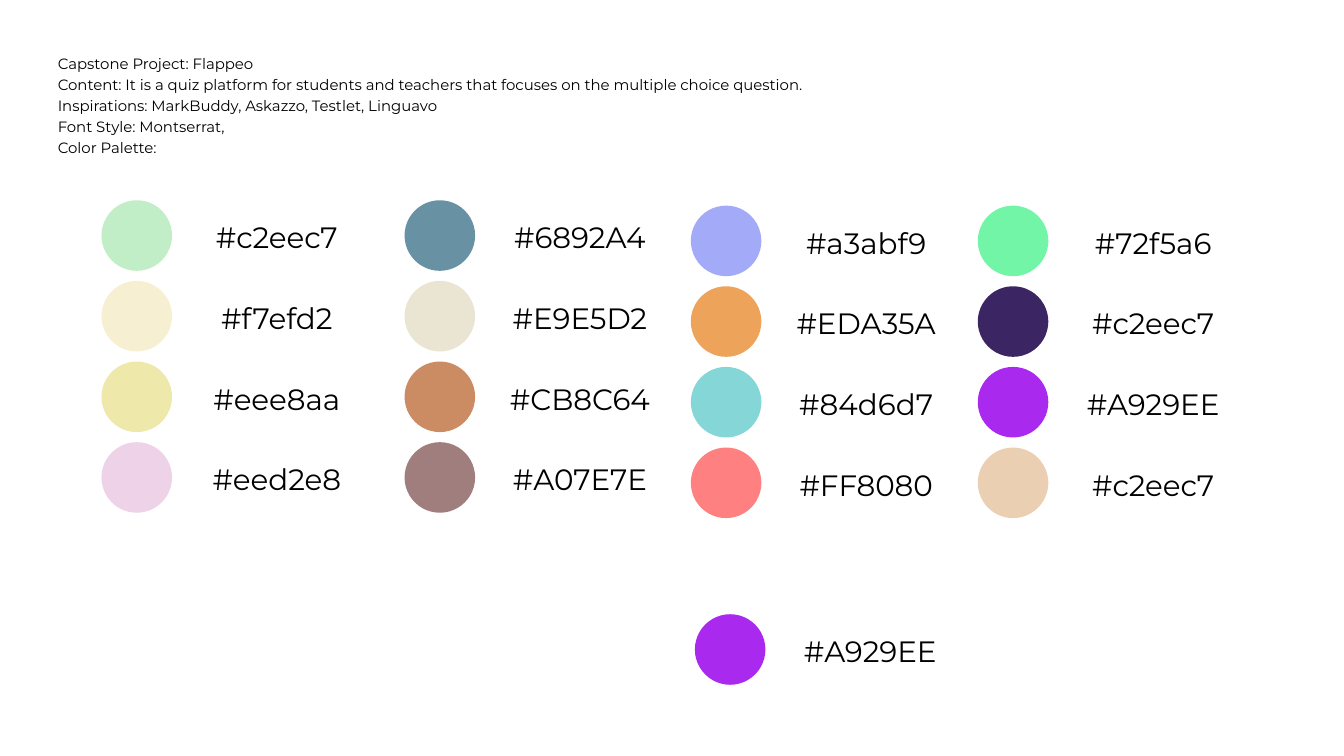
from pptx import Presentation
from pptx.dml.color import RGBColor
from pptx.enum.shapes import MSO_SHAPE as Shape
from pptx.enum.text import PP_ALIGN as Align
from pptx.util import Emu, Pt

EMU_PER_PX = 9144
FONT = "Montserrat"
DIAMETER = 105
ROW_PITCH = 120
LABEL_OFFSET_X, LABEL_OFFSET_Y = 156, 20
LABEL_WIDTH, LABEL_HEIGHT = 210, 59

BLACK = RGBColor(0x00, 0x00, 0x00)
MINT = RGBColor(0xC2, 0xEE, 0xC7)
CREAM = RGBColor(0xF7, 0xEF, 0xD2)
PALE_GOLD = RGBColor(0xEE, 0xE8, 0xAA)
PINK = RGBColor(0xEE, 0xD2, 0xE8)
STEEL_BLUE = RGBColor(0x68, 0x92, 0xA4)
BONE = RGBColor(0xE9, 0xE5, 0xD2)
COPPER = RGBColor(0xCB, 0x8C, 0x64)
MAUVE = RGBColor(0xA0, 0x7E, 0x7E)
PERIWINKLE = RGBColor(0xA3, 0xAB, 0xF9)
ORANGE = RGBColor(0xED, 0xA3, 0x5A)
AQUA = RGBColor(0x84, 0xD6, 0xD7)
CORAL = RGBColor(0xFF, 0x80, 0x80)
GREEN = RGBColor(0x72, 0xF5, 0xA6)
INDIGO = RGBColor(0x3B, 0x25, 0x62)
PURPLE = RGBColor(0xA9, 0x29, 0xEE)
SAND = RGBColor(0xEB, 0xCF, 0xB2)

BRIEF = [
    "Capstone Project: Flappeo",
    "Content: It is a quiz platform for students and teachers "
    "that focuses on the multiple choice question.",
    "Inspirations: MarkBuddy, Askazzo, Testlet, Linguavo",
    "Font Style: Montserrat,",
    "Color Palette:",
]

PALETTE_COLUMNS = [
    (151, 298, [("#c2eec7", MINT), ("#f7efd2", CREAM),
                ("#eee8aa", PALE_GOLD), ("#eed2e8", PINK)]),
    (602, 298, [("#6892A4", STEEL_BLUE), ("#E9E5D2", BONE),
                ("#CB8C64", COPPER), ("#A07E7E", MAUVE)]),
    (1028, 306, [("#a3abf9", PERIWINKLE), ("#EDA35A", ORANGE),
                 ("#84d6d7", AQUA), ("#FF8080", CORAL)]),
    (1455, 306, [("#72f5a6", GREEN), ("#c2eec7", INDIGO),
                 ("#A929EE", PURPLE), ("#c2eec7", SAND)]),
    (1034, 914, [("#A929EE", PURPLE)]),
]


def px(length):
    """Convert whole pixels to EMU."""
    return Emu(length * EMU_PER_PX)


def add_text(slide, lines, left, top, width, height, *, size, spacing, align):
    """Add a text box with one paragraph per line."""
    box = slide.shapes.add_textbox(px(left), px(top), px(width), px(height))
    frame = box.text_frame
    frame.word_wrap = True
    frame.margin_left = frame.margin_right = 0
    frame.margin_top = frame.margin_bottom = 0
    frame.text = "\n".join(lines)
    for paragraph in frame.paragraphs:
        paragraph.alignment = align
        paragraph.line_spacing = Pt(spacing)
        paragraph.font.name = FONT
        paragraph.font.size = Pt(size)
        paragraph.font.color.rgb = BLACK


def add_circle(slide, left, top, color):
    """Add a borderless colour circle."""
    circle = slide.shapes.add_shape(
        Shape.OVAL, px(left), px(top), px(DIAMETER), px(DIAMETER))
    circle.shadow.inherit = False
    circle.fill.solid()
    circle.fill.fore_color.rgb = color
    circle.line.fill.background()


def add_swatch(slide, left, top, label, color):
    """Add a colour circle with its hex code to the right."""
    add_circle(slide, left, top, color)
    add_text(slide, [label], left + LABEL_OFFSET_X, top + LABEL_OFFSET_Y,
             LABEL_WIDTH, LABEL_HEIGHT,
             size=31.5, spacing=44.1, align=Align.CENTER)


def main():
    """Build the colour palette slide and save it."""
    presentation = Presentation()
    presentation.slide_width = px(2000)
    presentation.slide_height = px(1125)
    slide = presentation.slides.add_slide(presentation.slide_layouts[6])
    add_text(slide, BRIEF, 86, 77, 1117, 150,
             size=16, spacing=22.4, align=Align.JUSTIFY)
    for left, top, swatches in PALETTE_COLUMNS:
        for row, (label, color) in enumerate(swatches):
            add_swatch(slide, left, top + row * ROW_PITCH, label, color)
    presentation.save("out.pptx")


if __name__ == "__main__":
    main()
